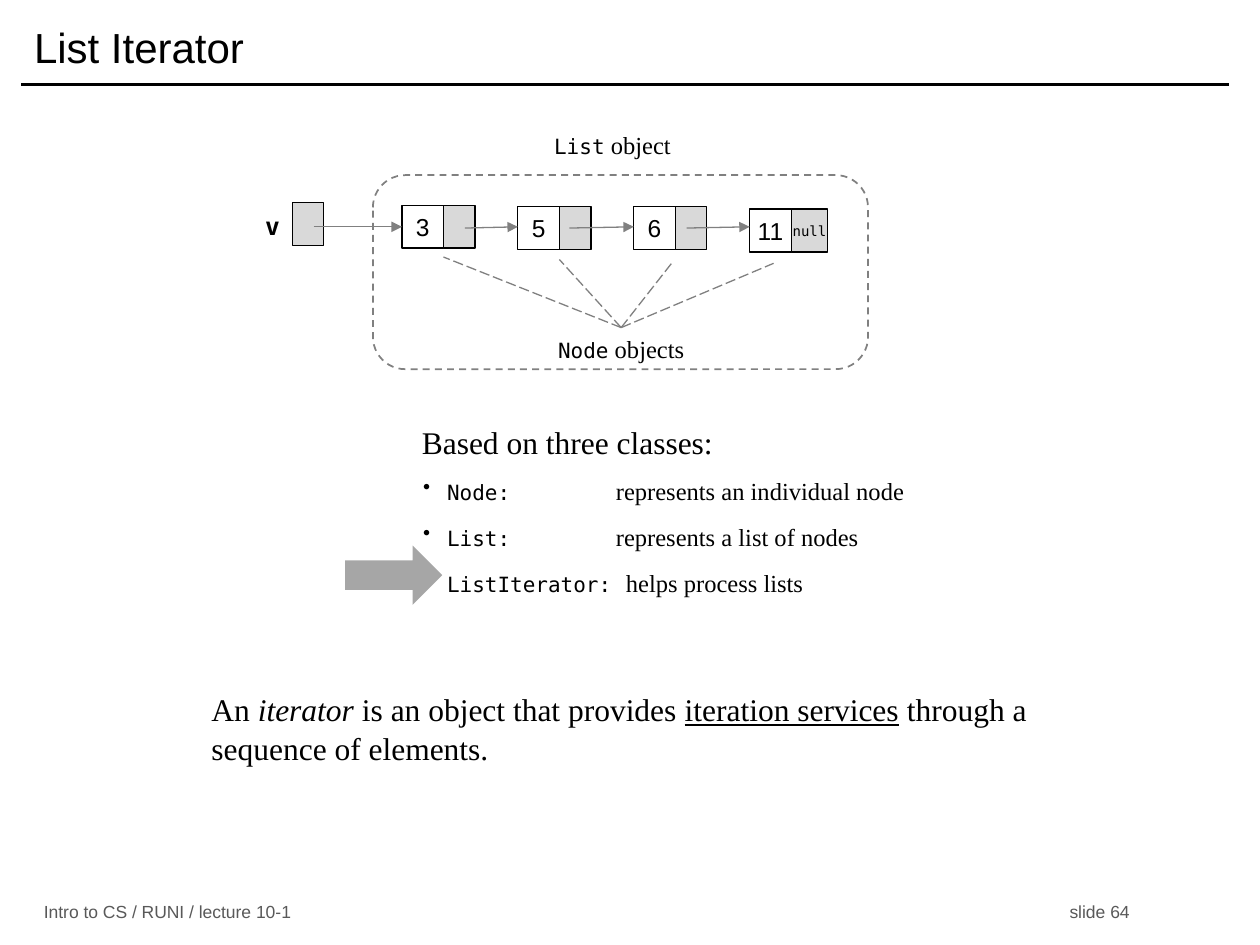
from dataclasses import dataclass

from lxml.etree import SubElement
from pptx import Presentation
from pptx.dml.color import RGBColor
from pptx.enum.dml import MSO_LINE
from pptx.enum.shapes import MSO_CONNECTOR, MSO_SHAPE
from pptx.enum.text import MSO_ANCHOR, PP_ALIGN
from pptx.oxml.ns import qn
from pptx.util import Inches, Pt

COLORS = {"ink": "000000", "paper": "FFFFFF", "pointer": "D9D9D9",
          "line": "808080", "arrow": "A6A6A6", "footer": "595959"}
SANS, SERIF, MONO = "Arial", "Times New Roman", "DejaVu Sans Mono"
CODE = {"name": MONO, "size": Pt(12)}
LABEL = {"name": SERIF, "size": Pt(14)}
BODY = {"name": SERIF, "size": Pt(18)}
VALUE = {"name": SANS, "size": Pt(14)}
FOOTER = {"name": SANS, "size": Pt(10)}


@dataclass
class Node:
    value: str
    top: float
    pointer_width: float = 0.25
    pointer_text: str = ""


@dataclass
class ClassRow:
    name: str
    role: str
    tab: float


NODES = [Node("3", 1.63), Node("5", 1.64), Node("6", 1.64),
         Node("11", 1.66, 0.29, "null")]
NODE_LEFT, NODE_PITCH, VALUE_WIDTH, CELL_HEIGHT = 3.19, 0.92, 0.33, 0.34
LINKS = [((2.49, 1.8), (3.19, 1.8)), ((3.69, 1.81), (4.11, 1.8)),
         ((4.52, 1.81), (5.03, 1.8)), ((5.45, 1.81), (5.95, 1.8))]
HUB = (4.93, 2.6)
SPOKE_ENDS = [(3.52, 2.04), (4.44, 2.06), (5.33, 2.09), (6.14, 2.09)]
CLASSES = [ClassRow("Node:", "represents an individual node", 1.54),
           ClassRow("List:", "represents a list of nodes", 1.54),
           ClassRow("ListIterator:", "helps process lists", 1.62)]


def rgb(key: str) -> RGBColor:
    return RGBColor.from_string(COLORS[key])


def add_run(p, text: str, fmt: dict, color: str = "ink") -> None:
    r = p.add_run()
    r.text = text
    for name, value in fmt.items():
        setattr(r.font, name, value)
    r.font.color.rgb = rgb(color)


def add_text(s, box: tuple, runs: list, color: str = "ink", align=PP_ALIGN.LEFT,
             anchor=MSO_ANCHOR.MIDDLE):
    tf = s.shapes.add_textbox(*map(Inches, box)).text_frame
    tf.word_wrap = True
    tf.vertical_anchor = anchor
    p = tf.paragraphs[0]
    p.alignment = align
    for text, fmt in runs:
        add_run(p, text, fmt, color)
    return tf


def add_shape(s, kind, box: tuple, fill: str, line: str = "", width: float = 0.75):
    sp = s.shapes.add_shape(kind, *map(Inches, box))
    sp.shadow.inherit = False
    sp.fill.solid()
    sp.fill.fore_color.rgb = rgb(fill)
    if line:
        sp.line.color.rgb = rgb(line)
        sp.line.width = Pt(width)
    else:
        sp.line.fill.background()
    return sp


def add_cell(s, box: tuple, fill: str, text: str = "", fmt: dict = VALUE) -> None:
    sp = add_shape(s, MSO_SHAPE.RECTANGLE, box, fill, "ink")
    if text:
        tf = sp.text_frame
        tf.margin_left = tf.margin_right = 0
        tf.word_wrap = True
        tf.vertical_anchor = MSO_ANCHOR.MIDDLE
        tf.paragraphs[0].alignment = PP_ALIGN.CENTER
        add_run(tf.paragraphs[0], text, fmt)


def add_line(s, start: tuple, end: tuple, color: str = "line",
             width: float = 0.75, dash=None, arrow: bool = False) -> None:
    c = s.shapes.add_connector(MSO_CONNECTOR.STRAIGHT, *map(Inches, start + end))
    c.line.color.rgb = rgb(color)
    c.line.width = Pt(width)
    if dash:
        c.line.dash_style = dash
    if arrow:
        SubElement(c.line._get_or_add_ln(), qn("a:tailEnd"), type="triangle")
    SubElement(c._element.spPr, qn("a:effectLst"))


def add_node(s, left: float, node: Node) -> None:
    add_cell(s, (left, node.top, VALUE_WIDTH, CELL_HEIGHT), "paper", node.value)
    add_cell(s, (left + VALUE_WIDTH, node.top, node.pointer_width, CELL_HEIGHT),
             "pointer", node.pointer_text, {"name": MONO, "size": Pt(8)})


def add_class_row(tf, row: ClassRow) -> None:
    p = tf.add_paragraph()
    p.space_before = Pt(6)
    p.line_spacing = 1.05
    pPr = p._p.get_or_add_pPr()
    pPr.set("marL", str(Inches(0.2)))
    pPr.set("indent", str(Inches(-0.19)))
    SubElement(pPr, qn("a:buChar"), char="•")
    tabs = SubElement(pPr, qn("a:tabLst"))
    SubElement(tabs, qn("a:tab"), pos=str(Inches(row.tab)), algn="l")
    add_run(p, row.name, CODE)
    add_run(p, "\t", {"name": SERIF, "size": Pt(16)})
    add_run(p, row.role, LABEL)


def add_title(s, text: str) -> None:
    title = s.shapes.title
    place = {"left": 0.17, "top": 0.08, "width": 9.58, "height": 0.58}
    for name, value in place.items():
        setattr(title, name, Inches(value))
    title.text_frame.vertical_anchor = MSO_ANCHOR.MIDDLE
    p = title.text_frame.paragraphs[0]
    p.alignment = PP_ALIGN.LEFT
    add_run(p, text, {"name": SANS, "size": Pt(24)})
    add_line(s, (0.17, 0.67), (9.75, 0.67), "ink", 2)


def add_list_diagram(s) -> None:
    frame = add_shape(s, MSO_SHAPE.ROUNDED_RECTANGLE, (2.96, 1.39, 3.93, 1.54),
                      "paper", "line", 1)
    frame.line.dash_style = MSO_LINE.DASH
    for i, node in enumerate(NODES):
        add_node(s, NODE_LEFT + i * NODE_PITCH, node)
    add_cell(s, (2.32, 1.61, 0.25, CELL_HEIGHT), "pointer")
    for start, end in LINKS:
        add_line(s, start, end, arrow=True)
    for end in SPOKE_ENDS:
        add_line(s, HUB, end, dash=MSO_LINE.LONG_DASH)
    add_text(s, (1.82, 1.62, 0.5, 0.34), [("v", VALUE | {"name": MONO, "bold": True})],
             align=PP_ALIGN.RIGHT)
    add_text(s, (4.3, 0.86, 2.83, 0.58), [("List", CODE), (" object", LABEL)])
    add_text(s, (3.72, 2.6, 2.42, 0.33), [("Node", CODE), (" objects", LABEL)],
             align=PP_ALIGN.CENTER)


def main() -> None:
    prs = Presentation()
    prs.slide_width, prs.slide_height = Inches(10), Inches(7.5)
    s = prs.slides.add_slide(prs.slide_layouts[5])
    add_title(s, "List Iterator")
    add_list_diagram(s)

    tf = add_text(s, (3.25, 3.29, 4.33, 1.75), [("Based on three classes:", BODY)],
                  anchor=MSO_ANCHOR.TOP)
    tf.paragraphs[0].line_spacing = 1.05
    for row in CLASSES:
        add_class_row(tf, row)
    add_shape(s, MSO_SHAPE.RIGHT_ARROW, (2.74, 4.33, 0.77, 0.47), "arrow")

    tf = add_text(s, (1.58, 5.41, 7.14, 1.03), [
        ("An ", BODY), ("iterator", BODY | {"italic": True}),
        (" is an object that provides ", BODY),
        ("iteration services", BODY | {"underline": True}),
        (" through a sequence of elements.", BODY)], anchor=MSO_ANCHOR.TOP)
    tf.paragraphs[0].line_spacing = 1.05

    add_text(s, (0.25, 7.14, 4, 0.19), [("Intro to CS / RUNI / lecture 10-1", FOOTER)], "footer")
    add_text(s, (8.39, 7.14, 1.28, 0.19), [("slide 64", FOOTER)], "footer")
    prs.save("out.pptx")


if __name__ == "__main__":
    main()
